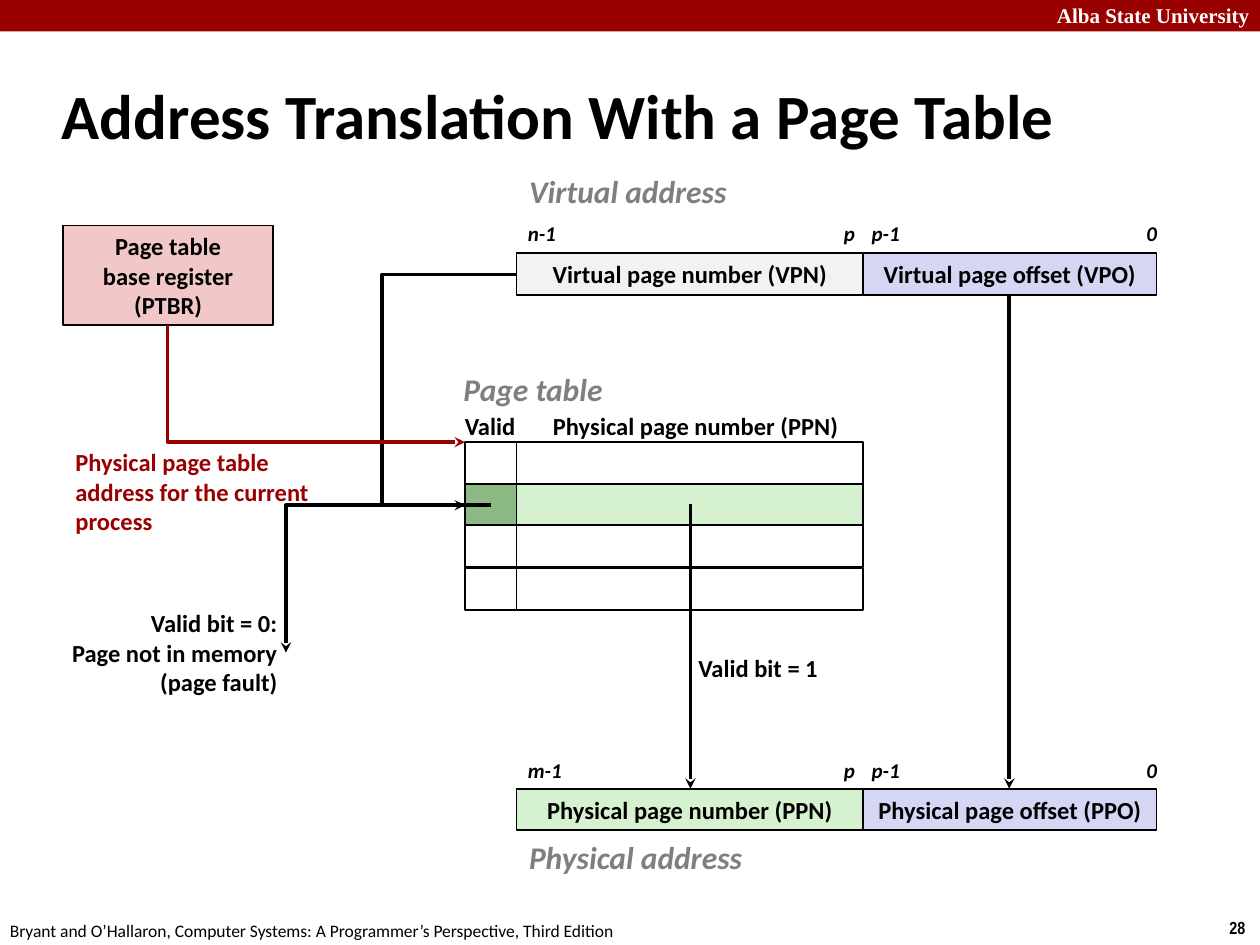
from dataclasses import dataclass

from lxml.etree import SubElement
from pptx import Presentation
from pptx.dml.color import RGBColor
from pptx.enum.shapes import MSO_CONNECTOR, MSO_SHAPE
from pptx.enum.text import MSO_ANCHOR, MSO_AUTO_SIZE, PP_ALIGN
from pptx.oxml.ns import qn
from pptx.util import Emu, Pt

PX = 9144  # one hundred px to the inch
COLORS = {
    "black": "000000", "white": "FFFFFF", "red": "990000", "gray": "7F7F7F",
    "pale_gray": "F2F2F2", "lavender": "D5D5F4", "green": "D5F1CF",
    "dark_green": "8DBA84", "pink": "F1C7C7",
}
ROW_HEIGHT = 33
VALID_LEFT, NUMBER_LEFT, OFFSET_LEFT, OFFSET_RIGHT = 369, 410, 685, 918
VIRTUAL_TOP, TABLE_TOP, PHYSICAL_TOP = 201, 351, 626
OFFSET_CENTER = (OFFSET_LEFT + OFFSET_RIGHT) // 2
ENTRY_MIDDLE = 401  # middle of the selected table row


@dataclass(frozen=True)
class Label:
    text: str
    left: int
    top: int
    width: int
    height: int
    size: int = 14
    color: str = "black"
    bold: bool = True
    italic: bool = False
    font: str = "Calibri"
    align: PP_ALIGN = PP_ALIGN.LEFT


@dataclass(frozen=True)
class AddressRow:
    name: str
    top: int
    number_text: str
    number_fill: str
    offset_text: str
    heading_top: int
    heading_width: int
    bits_top: int
    high_bit: str


ADDRESS_ROWS = [
    AddressRow("Virtual address", VIRTUAL_TOP, "Virtual page number (VPN)", "pale_gray",
               "Virtual page offset (VPO)", 132, 178, 170, "n-1"),
    AddressRow("Physical address", PHYSICAL_TOP, "Physical page number (PPN)", "green",
               "Physical page offset (PPO)", 660, 191, 596, "m-1"),
]

LABELS = [
    Label("Alba State University", 829, -3, 178, 30, 12, "white", font="Times New Roman"),
    Label("28", 966, 723, 34, 27, 10, font="Arial Narrow"),
    Label("Bryant and O’Hallaron, Computer Systems: A Programmer’s Perspective, Third Edition",
          -2, 725, 508, 27, 10, bold=False),
    Label("Page table", 358, 289, 142, 40, 18, "gray", italic=True),
    Label("Valid", 359, 321, 61, 34),
    Label("Physical page number (PPN)", 429, 321, 248, 34),
    Label("Physical page table\naddress for the current\nprocess",
          50, 350, 208, 81, color="red"),
    Label("Valid bit = 0:\nPage not in memory\n(page fault)",
          44, 478, 186, 81, align=PP_ALIGN.RIGHT),
    Label("Valid bit = 1", 542, 513, 117, 34, align=PP_ALIGN.RIGHT),
]


def px(length: int) -> Emu:
    return Emu(length * PX)


def rgb(name: str) -> RGBColor:
    return RGBColor.from_string(COLORS[name])


def write_text(frame, text: str, *, size: int = 14, color: str = "black", bold: bool = True,
               italic: bool = False, font: str = "Calibri",
               align: PP_ALIGN = PP_ALIGN.LEFT) -> None:
    frame.text = text
    for para in frame.paragraphs:
        para.alignment = align
        for span in para.runs:
            span.font.name, span.font.size = font, Pt(size)
            span.font.bold, span.font.italic = bold, italic
            span.font.color.rgb = rgb(color)


def add_label(page, label: Label) -> None:
    box = page.shapes.add_textbox(px(label.left), px(label.top),
                                  px(label.width), px(label.height))
    box.text_frame.word_wrap = False
    box.text_frame.auto_size = MSO_AUTO_SIZE.SHAPE_TO_FIT_TEXT
    write_text(box.text_frame, label.text, size=label.size, color=label.color,
               bold=label.bold, italic=label.italic, font=label.font, align=label.align)


def add_box(page, left: int, top: int, right: int, height: int = ROW_HEIGHT, *,
            fill: str = "", outlined: bool = True, text: str = "") -> None:
    box = page.shapes.add_shape(MSO_SHAPE.RECTANGLE, px(left), px(top),
                                px(right - left), px(height))
    box.shadow.inherit = False
    if fill:
        box.fill.solid()
        box.fill.fore_color.rgb = rgb(fill)
    else:
        box.fill.background()
    if outlined:
        box.line.color.rgb = rgb("black")
        box.line.width = Pt(1)
    else:
        box.line.fill.background()
    if text:
        box.text_frame.vertical_anchor = MSO_ANCHOR.MIDDLE
        write_text(box.text_frame, text, align=PP_ALIGN.CENTER)


def add_arrow(page, start: tuple[int, int], end: tuple[int, int], *, color: str = "black",
              preset: str = "line", adjust: int = 0, point: str = "tailEnd") -> None:
    """Draw an arrow; a bent one leaves its start horizontally."""
    kind = MSO_CONNECTOR.STRAIGHT if preset == "line" else MSO_CONNECTOR.ELBOW
    arrow = page.shapes.add_connector(kind, *map(px, start + end))
    arrow.line.color.rgb = rgb(color)
    arrow.line.width = Pt(2)
    SubElement(arrow.line._get_or_add_ln(), qn("a:" + point), type="stealth")
    properties = arrow._element.spPr
    SubElement(properties, qn("a:effectLst"))
    geometry = properties.find(qn("a:prstGeom"))
    geometry.set("prst", preset)
    if adjust:
        SubElement(geometry.find(qn("a:avLst")), qn("a:gd"),
                   name="adj1", fmla=f"val {adjust}")


def add_title(page, text: str) -> None:
    title = page.shapes.title
    title.left, title.top, title.width, title.height = map(px, (39, 49, 830, 83))
    title.text_frame.vertical_anchor = MSO_ANCHOR.MIDDLE
    title.text_frame.word_wrap = True
    write_text(title.text_frame, text, size=36)


def add_address(page, row: AddressRow) -> None:
    add_box(page, NUMBER_LEFT, row.top, OFFSET_LEFT, fill=row.number_fill, text=row.number_text)
    add_box(page, OFFSET_LEFT, row.top, OFFSET_RIGHT, fill="lavender", text=row.offset_text)
    add_label(page, Label(row.name, NUMBER_LEFT, row.heading_top, row.heading_width, 40,
                          18, "gray", italic=True))
    for bit, left, width in ((row.high_bit, 409, 49), ("p", 660, 33),
                             ("p-1", 682, 47), ("0", 900, 33)):
        add_label(page, Label(bit, left, row.bits_top, width, 30, 12, italic=True))


def add_page_table(page) -> None:
    fills = [("", ""), ("dark_green", "green"), ("", ""), ("", "")]
    for index, (valid_fill, number_fill) in enumerate(fills):
        top = TABLE_TOP + index * 100 // 3
        add_box(page, NUMBER_LEFT, top, OFFSET_LEFT, fill=number_fill)
        add_box(page, VALID_LEFT, top, NUMBER_LEFT, fill=valid_fill)


def main() -> None:
    deck = Presentation()
    deck.slide_width, deck.slide_height = px(1000), px(750)
    page = deck.slides.add_slide(deck.slide_layouts[5])

    add_box(page, 0, 0, 1000, 25, fill="red", outlined=False)
    add_title(page, "Address Translation With a Page Table")
    for row in ADDRESS_ROWS:
        add_address(page, row)
    add_page_table(page)
    add_box(page, 50, 179, 217, 79, fill="pink", text="Page table\vbase register\n(PTBR)")

    add_arrow(page, (NUMBER_LEFT, 218), (VALID_LEFT, ENTRY_MIDDLE),
              preset="bentConnector3", adjust=261000)
    add_arrow(page, (OFFSET_CENTER, VIRTUAL_TOP + ROW_HEIGHT), (OFFSET_CENTER, PHYSICAL_TOP))
    add_arrow(page, (548, 400), (548, PHYSICAL_TOP))
    add_arrow(page, (390, ENTRY_MIDDLE), (227, 518), preset="bentConnector2")
    add_arrow(page, (VALID_LEFT, TABLE_TOP), (133, 258), color="red",
              preset="bentConnector2", point="headEnd")
    for label in LABELS:
        add_label(page, label)
    deck.save("out.pptx")


if __name__ == "__main__":
    main()
